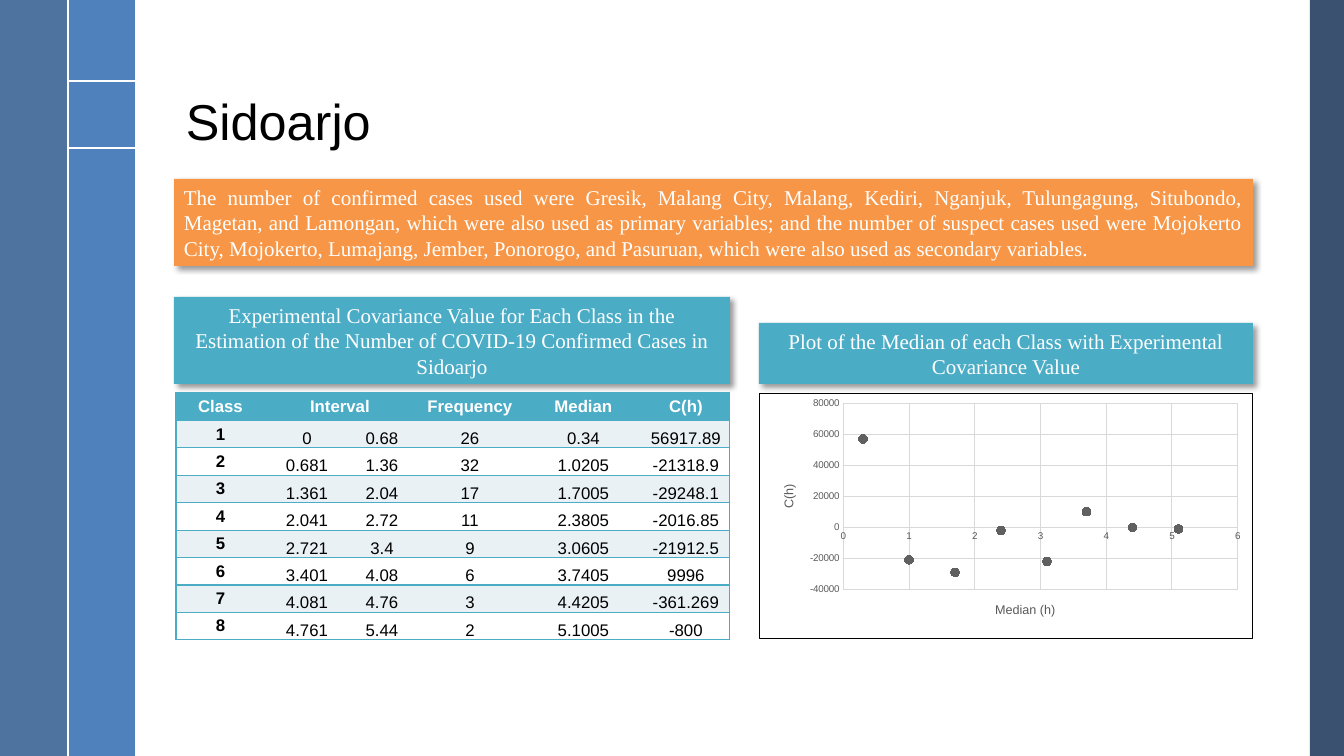
from lxml import etree
from pptx import Presentation
from pptx.chart.data import XyChartData
from pptx.dml.color import RGBColor
from pptx.enum.chart import XL_CHART_TYPE, XL_MARKER_STYLE, XL_TICK_MARK
from pptx.enum.shapes import MSO_CONNECTOR, MSO_SHAPE
from pptx.enum.text import MSO_ANCHOR, PP_ALIGN
from pptx.oxml import parse_xml
from pptx.oxml.ns import nsdecls, qn
from pptx.util import Pt

PX = 914400 / 100.8
RECTANGLE = MSO_SHAPE.RECTANGLE
CENTER, JUSTIFY = PP_ALIGN.CENTER, PP_ALIGN.JUSTIFY
MIDDLE, BOTTOM = MSO_ANCHOR.MIDDLE, MSO_ANCHOR.BOTTOM
NO_TICKS = XL_TICK_MARK.NONE
COLORS = {
    "white": "FFFFFF", "black": "000000", "navy": "254061", "steel": "376092",
    "blue": "4F81BD", "orange": "F79646", "teal": "4BACC6", "band": "E9F1F5",
    "grid": "D9D9D9", "label": "595959", "marker": "606060",
}


def emu(*lengths):
    return [round(length * PX) for length in lengths]


def style_font(font, name, size, color, bold=False):
    font.name, font.size, font.bold = name, Pt(size), bold
    font.color.rgb = RGBColor.from_string(COLORS[color])


presentation = Presentation()
presentation.slide_width, presentation.slide_height = emu(1344, 756)
slide = presentation.slides.add_slide(presentation.slide_layouts[6])
shapes = slide.shapes

strips = [(1310, 34, "navy", 90), (68, 67, "blue", 100), (0, 68, "steel", 88)]
for left, width, color, opacity in strips:
    strip = shapes.add_shape(RECTANGLE, *emu(left, 0, width, 756))
    strip.shadow.inherit = False
    strip.line.fill.background()
    strip.fill.solid()
    strip.fill.fore_color.rgb = RGBColor.from_string(COLORS[color])
    if opacity < 100:
        strip_color = strip._element.spPr.find(".//" + qn("a:srgbClr"))
        etree.SubElement(strip_color, qn("a:alpha"), val=str(opacity * 1000))

for ends in [(68, 81, 135, 81), (68, 148, 135, 148), (68, 0, 68, 756)]:
    rule = shapes.add_connector(MSO_CONNECTOR.STRAIGHT, *emu(*ends))
    rule.line.color.rgb = RGBColor.from_string(COLORS["white"])
    rule.line.width = Pt(1.5)
    etree.SubElement(rule._element.spPr, qn("a:effectLst"))

title = shapes.add_textbox(*emu(176, 19, 1079, 137))
title.text_frame.word_wrap = True
title.text_frame.vertical_anchor = BOTTOM
paragraph = title.text_frame.paragraphs[0]
paragraph.text = "Sidoarjo"
paragraph.line_spacing = 0.9
style_font(paragraph.font, "Arial", 36, "black")

banners = [
    (174, 179, 1079, 87, "orange", JUSTIFY,
     "The number of confirmed cases used were Gresik, Malang City, Malang, Kediri, Nganjuk, "
     "Tulungagung, Situbondo, Magetan, and Lamongan, which were also used as primary variables; "
     "and the number of suspect cases used were Mojokerto City, Mojokerto, Lumajang, Jember, "
     "Ponorogo, and Pasuruan, which were also used as secondary variables."),
    (174, 297, 556, 87, "teal", CENTER,
     "Experimental Covariance Value for Each Class in the Estimation of the Number of "
     "COVID-19 Confirmed Cases in Sidoarjo"),
    (759, 323, 494, 61, "teal", CENTER,
     "Plot of the Median of each Class with Experimental Covariance Value"),
]
for left, top, width, height, color, alignment, text in banners:
    banner = shapes.add_shape(RECTANGLE, *emu(left, top, width, height))
    banner.fill.solid()
    banner.fill.fore_color.rgb = RGBColor.from_string(COLORS[color])
    banner.line.fill.background()
    banner.shadow.inherit = False
    banner._element.spPr.find(qn("a:effectLst")).append(parse_xml(
        f'<a:outerShdw {nsdecls("a")} blurRad="50800" dist="38100" dir="2700000" algn="tl" '
        f'rotWithShape="0"><a:srgbClr val="{COLORS["black"]}"><a:alpha val="40000"/>'
        '</a:srgbClr></a:outerShdw>'))
    banner.text_frame.word_wrap = True
    banner.text_frame.vertical_anchor = MIDDLE
    paragraph = banner.text_frame.paragraphs[0]
    paragraph.text = text
    paragraph.alignment = alignment
    style_font(paragraph.font, "Times New Roman", 15, "white")

rows = [
    ("Class", "Interval", "", "Frequency", "Median", "C(h)"),
    ("1", "0", "0.68", "26", "0.34", "56917.89"),
    ("2", "0.681", "1.36", "32", "1.0205", "-21318.9"),
    ("3", "1.361", "2.04", "17", "1.7005", "-29248.1"),
    ("4", "2.041", "2.72", "11", "2.3805", "-2016.85"),
    ("5", "2.721", "3.4", "9", "3.0605", "-21912.5"),
    ("6", "3.401", "4.08", "6", "3.7405", "9996"),
    ("7", "4.081", "4.76", "3", "4.4205", "-361.269"),
    ("8", "4.761", "5.44", "2", "5.1005", "-800"),
]
column_widths = emu(89, 84, 66, 110, 117, 88)
table = shapes.add_table(len(rows), len(column_widths), *emu(176, 393, 554, 247)).table
table.horz_banding = False
for column, width in zip(table.columns, column_widths):
    column.width = width
for row_index, row in enumerate(rows):
    is_header = row_index == 0
    fill = "teal" if is_header else "band" if row_index % 2 else "white"
    for column_index, text in enumerate(row):
        is_first = column_index == 0
        cell = table.cell(row_index, column_index)
        cell.margin_left, cell.margin_right, cell.margin_top, cell.margin_bottom = emu(7, 7, 0, 0)
        cell.vertical_anchor = MIDDLE if is_header or is_first else BOTTOM
        cell.fill.solid()
        cell.fill.fore_color.rgb = RGBColor.from_string(COLORS[fill])
        paragraph = cell.text_frame.paragraphs[0]
        paragraph.text = text
        paragraph.alignment = CENTER
        style_font(paragraph.font, "Arial", 12, "white" if is_header else "black",
                   is_header or is_first)
        sides = {"L": is_first, "R": column_index == len(row) - 1, "T": True, "B": True}
        for position, (side, visible) in enumerate(sides.items()):
            paint = (f'<a:solidFill><a:srgbClr val="{COLORS["teal"]}"/></a:solidFill>'
                     if visible else "<a:noFill/>")
            cell._tc.tcPr.insert(position, parse_xml(
                f'<a:ln{side} {nsdecls("a")} w="12700">{paint}</a:ln{side}>'))
table.cell(0, 1).merge(table.cell(0, 2))

chart_data = XyChartData()
points = chart_data.add_series("Series 1")
for row in rows[1:]:
    points.add_data_point(round(float(row[4]), 1), int(round(float(row[5]), -3)))
chart = shapes.add_chart(XL_CHART_TYPE.XY_SCATTER, *emu(759, 393, 494, 246), chart_data).chart
chart.has_legend = False
chart.has_title = False
style_font(chart.font, "Arial", 10, "black")
chart._chartSpace.chart.addnext(parse_xml(
    f'<c:spPr {nsdecls("c", "a")}><a:solidFill><a:srgbClr val="{COLORS["white"]}"/></a:solidFill>'
    f'<a:ln w="9525"><a:solidFill><a:srgbClr val="{COLORS["black"]}"/></a:solidFill></a:ln>'
    '</c:spPr>'))
plot_area = chart._chartSpace.chart.plotArea
for layout in plot_area.findall(qn("c:layout")):
    plot_area.remove(layout)
plot_area.insert(0, parse_xml(
    f'<c:layout {nsdecls("c")}><c:manualLayout><c:layoutTarget val="inner"/>'
    '<c:xMode val="edge"/><c:yMode val="edge"/><c:x val="0.17"/><c:y val="0.04"/>'
    '<c:w val="0.8"/><c:h val="0.76"/></c:manualLayout></c:layout>'))

axes = [
    (chart.category_axis, "Median (h)", 0, 6, 1),
    (chart.value_axis, "C(h)", -40000, 80000, 20000),
]
for axis, name, minimum, maximum, step in axes:
    axis.minimum_scale, axis.maximum_scale, axis.major_unit = minimum, maximum, step
    axis.major_tick_mark = axis.minor_tick_mark = NO_TICKS
    axis.has_major_gridlines = True
    axis.major_gridlines.format.line.color.rgb = RGBColor.from_string(COLORS["grid"])
    axis.major_gridlines.format.line.width = Pt(0.75)
    axis.format.line.fill.background()
    axis.tick_labels.number_format = "General"
    axis.tick_labels.number_format_is_linked = False
    style_font(axis.tick_labels.font, "Arial", 7, "label")
    paragraph = axis.axis_title.text_frame.paragraphs[0]
    paragraph.text = name
    style_font(paragraph.font, "Arial", 9, "label")

series = chart.plots[0].series[0]
series.smooth = False
chart.plots[0].vary_by_categories = False
series.format.line.fill.background()
series.marker.style = XL_MARKER_STYLE.CIRCLE
series.marker.size = 6
series.marker.format.fill.solid()
series.marker.format.fill.fore_color.rgb = RGBColor.from_string(COLORS["marker"])
series.marker.format.line.color.rgb = RGBColor.from_string(COLORS["marker"])

presentation.save("out.pptx")
